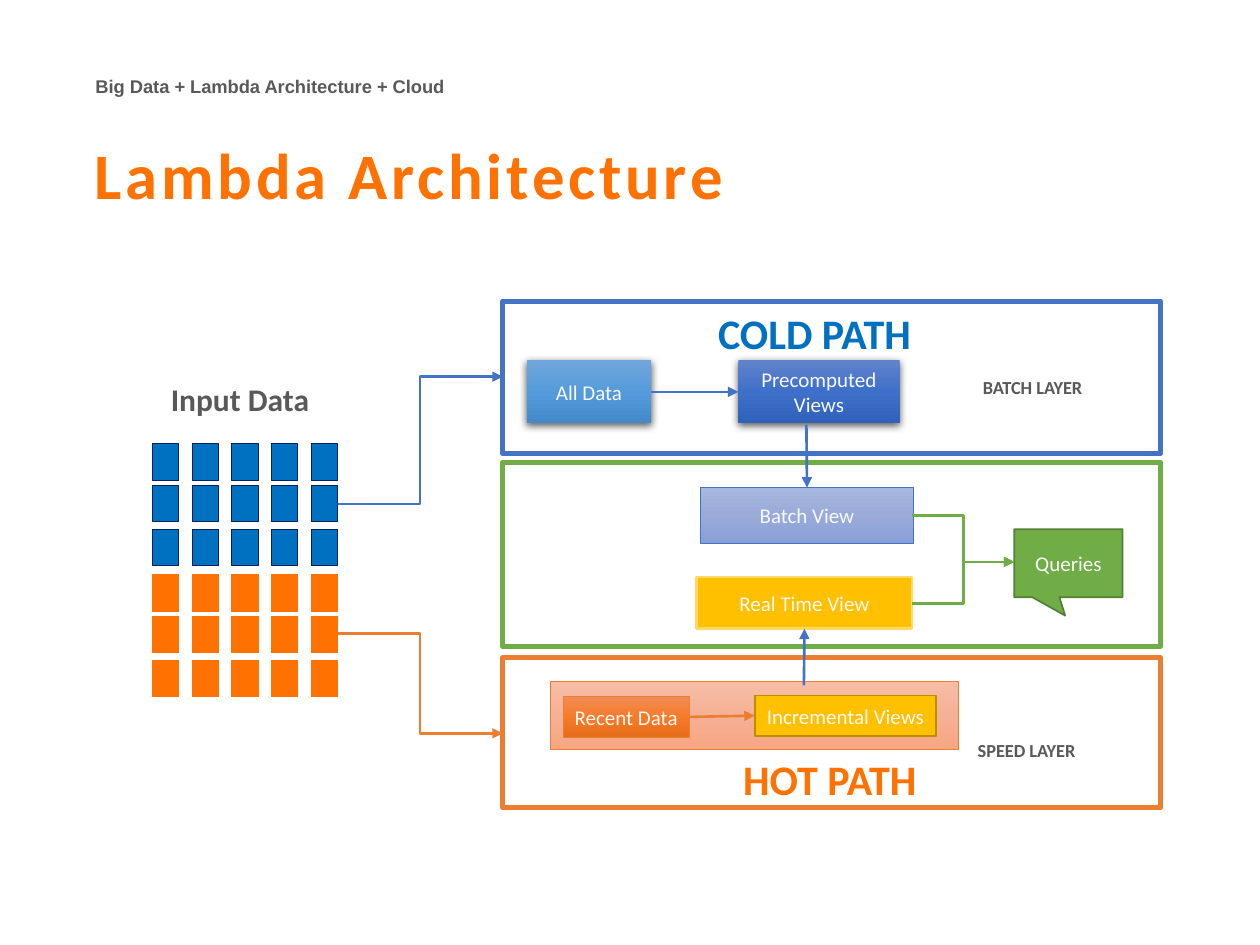
from copy import deepcopy

from lxml.etree import SubElement
from pptx import Presentation
from pptx.dml.color import RGBColor
from pptx.enum.shapes import MSO_CONNECTOR as Link, MSO_SHAPE as Shape
from pptx.enum.text import MSO_ANCHOR as Anchor, PP_ALIGN as Align
from pptx.oxml.ns import qn
from pptx.util import Inches, Pt

BLUE, GREEN, ORANGE = "4472C4", "70AD47", "ED7D31"
INPUT_BLUE, INPUT_ORANGE = "0070C0", "FF7100"
GOLD, GREY, PALE = "FFC000", "595959", "F8F8F8"
TOP, LEFT, BOTTOM, RIGHT = range(4)


def color(value):
    return RGBColor.from_string(value)


def write(shape, text, size=12, ink=PALE, font="Calibri", bold=False, align=Align.LEFT,
          anchor=Anchor.TOP, margins=(0.1, 0.05), wrap=True, line_spacing=None,
          space_after=0, tracking=None):
    frame = shape.text_frame
    frame.word_wrap = wrap
    frame.vertical_anchor = anchor
    frame.margin_left = frame.margin_right = Inches(margins[0])
    frame.margin_top = frame.margin_bottom = Inches(margins[1])
    paragraph = frame.paragraphs[0]
    paragraph.alignment = align
    paragraph.space_after = Pt(space_after)
    if line_spacing:
        paragraph.line_spacing = line_spacing
    run = paragraph.add_run()
    run.text = text
    run.font.name, run.font.size, run.font.bold = font, Pt(size), bold
    run.font.color.rgb = color(ink)
    if tracking:
        run.font._element.set("spc", str(round(tracking * 100)))


def paint_gradient(shape, shades):
    """Fill from top to bottom with evenly spaced shades."""
    fill = shape.fill
    fill.gradient()
    fill.gradient_angle = 270
    stop_list = shape._element.spPr.find(".//" + qn("a:gsLst"))
    while len(stop_list) < len(shades):
        stop_list.append(deepcopy(stop_list[0]))
    for index, (stop, shade) in enumerate(zip(fill.gradient_stops, shades)):
        stop.position = index / (len(shades) - 1)
        stop.color.rgb = color(shade)


def drop_shadow(shape):
    effects = shape._element.spPr.find(qn("a:effectLst"))
    shadow = SubElement(effects, qn("a:outerShdw"), blurRad=str(Pt(4.5)),
                        dist=str(Pt(1.5)), dir="5400000", rotWithShape="0")
    black = SubElement(shadow, qn("a:srgbClr"), val="000000")
    SubElement(black, qn("a:alpha"), val="63000")


class Diagram:
    def __init__(self, slide):
        self.shapes = slide.shapes

    def label(self, text, left, top, width, height, **style):
        write(self.shapes.add_textbox(*map(Inches, (left, top, width, height))), text, **style)

    def box(self, left, top, width, height, fill=None, line=None, weight=0.5,
            text=None, shadow=False, kind=Shape.RECTANGLE):
        """Draw a shape; fill is a colour, a tuple of gradient shades or None."""
        box = self.shapes.add_shape(kind, *map(Inches, (left, top, width, height)))
        box.shadow.inherit = False
        if fill is None:
            box.fill.background()
        elif isinstance(fill, tuple):
            paint_gradient(box, fill)
        else:
            box.fill.solid()
            box.fill.fore_color.rgb = color(fill)
        if line:
            box.line.color.rgb = color(line)
            box.line.width = Pt(weight)
        else:
            box.line.fill.background()
        if shadow:
            drop_shadow(box)
        if text:
            write(box, text, align=Align.CENTER, anchor=Anchor.MIDDLE, margins=(0, 0.04))
        return box

    def arrow(self, start, end, line, kind=Link.STRAIGHT, source=None, target=None):
        """Draw an arrow; source and target are (shape, side) pairs to join."""
        arrow = self.shapes.add_connector(kind, *map(Inches, start + end))
        if source:
            arrow.begin_connect(*source)
        if target:
            arrow.end_connect(*target)
        arrow.line.color.rgb = color(line)
        arrow.line.width = Pt(1.5)
        SubElement(arrow.line._get_or_add_ln(), qn("a:tailEnd"), type="triangle")
        SubElement(arrow._element.spPr, qn("a:effectLst"))

    def input_grid(self, top, fill, line):
        for row_offset in (0, 0.33, 0.68):
            for column in range(5):
                self.box(1.21 + column * 0.315, top + row_offset, 0.21, 0.29, fill, line)


def draw_headings(diagram):
    diagram.label("Big Data + Lambda Architecture + Cloud", 0.66, 0.55, 6.03, 0.28,
                  size=10.5, ink=GREY, font="Arial", bold=True)
    diagram.label("Lambda Architecture", 0.65, 1.09, 5.5, 0.79, size=37,
                  ink=INPUT_ORANGE, bold=True, line_spacing=0.9, tracking=2.2)


def draw_input(diagram):
    diagram.input_grid(3.52, INPUT_BLUE, "002060")
    diagram.input_grid(4.56, INPUT_ORANGE, INPUT_ORANGE)
    diagram.label("Input Data", 1.24, 3, 1.33, 0.37, size=18, ink=GREY, bold=True,
                  align=Align.CENTER, line_spacing=0.9)
    diagram.arrow((2.68, 4), (3.99, 2.99), BLUE, Link.ELBOW)
    diagram.arrow((2.68, 5.03), (3.99, 5.82), ORANGE, Link.ELBOW)


def draw_layers(diagram):
    for top, height, line in ((2.39, 1.21, BLUE), (3.67, 1.46, GREEN), (5.22, 1.19, ORANGE)):
        diagram.box(3.99, top, 5.22, height, line=line, weight=3)
    path_style = dict(size=24, bold=True, wrap=False, line_spacing=0.9)
    diagram.label("COLD PATH", 5.6, 2.44, 1.75, 0.46, ink=INPUT_BLUE, **path_style)
    diagram.label("HOT PATH", 5.8, 5.98, 1.59, 0.46, ink=INPUT_ORANGE, **path_style)
    layer_style = dict(size=10.5, ink=GREY, bold=True, wrap=False, line_spacing=0.9,
                       space_after=4.5, margins=(0.15, 0.12))
    diagram.label("BATCH LAYER", 7.65, 2.93, 1.21, 0.46, **layer_style)
    diagram.label("SPEED LAYER", 7.61, 5.81, 1.2, 0.45, **layer_style)


def draw_flow(diagram):
    all_data = diagram.box(4.18, 2.86, 0.99, 0.5, ("71A6DB", "559BDB", "448ACA"),
                           text="All Data", shadow=True)
    precomputed = diagram.box(5.86, 2.86, 1.28, 0.5, ("6183CB", "3E70CA", "3062BB"),
                              text="Precomputed Views", shadow=True)
    batch_view = diagram.box(5.56, 3.87, 1.69, 0.44, ("A8B7DF", "9AABD9", "889ED7"),
                             BLUE, text="Batch View")
    real_time_view = diagram.box(5.53, 4.58, 1.71, 0.41, GOLD, "FFD966", 1.5,
                                 text="Real Time View")
    diagram.box(4.37, 5.41, 3.24, 0.54, ("F7BDA5", "F5B196", "F8A582"), ORANGE)
    recent_data = diagram.box(4.47, 5.53, 1, 0.32, ("F18C57", "F67B28", "E56C19"),
                              ORANGE, text="Recent Data")
    incremental = diagram.box(5.99, 5.52, 1.44, 0.32, GOLD, "BD8E00", 1,
                              text="Incremental Views")
    queries = diagram.box(8.05, 4.2, 0.86, 0.54, GREEN, "538035", 1, text="Queries",
                          kind=Shape.RECTANGULAR_CALLOUT)
    queries.adjustments[0], queries.adjustments[1] = -0.03, 0.77

    diagram.arrow((5.17, 3.11), (5.86, 3.11), BLUE,
                  source=(all_data, RIGHT), target=(precomputed, LEFT))
    diagram.arrow((6.4, 3.37), (6.4, 3.87), BLUE, target=(batch_view, TOP))
    diagram.arrow((5.47, 5.69), (5.99, 5.68), ORANGE,
                  source=(recent_data, RIGHT), target=(incremental, LEFT))
    diagram.arrow((6.38, 5.44), (6.39, 4.99), BLUE, target=(real_time_view, BOTTOM))
    for view_middle in (4.09, 4.79):
        diagram.arrow((7.24, view_middle), (8.05, 4.46), GREEN, Link.ELBOW)


def main():
    deck = Presentation()
    deck.slide_width, deck.slide_height = Inches(10), Inches(7.5)
    diagram = Diagram(deck.slides.add_slide(deck.slide_layouts[6]))
    draw_headings(diagram)
    draw_layers(diagram)
    draw_input(diagram)
    draw_flow(diagram)
    deck.save("out.pptx")


if __name__ == "__main__":
    main()
